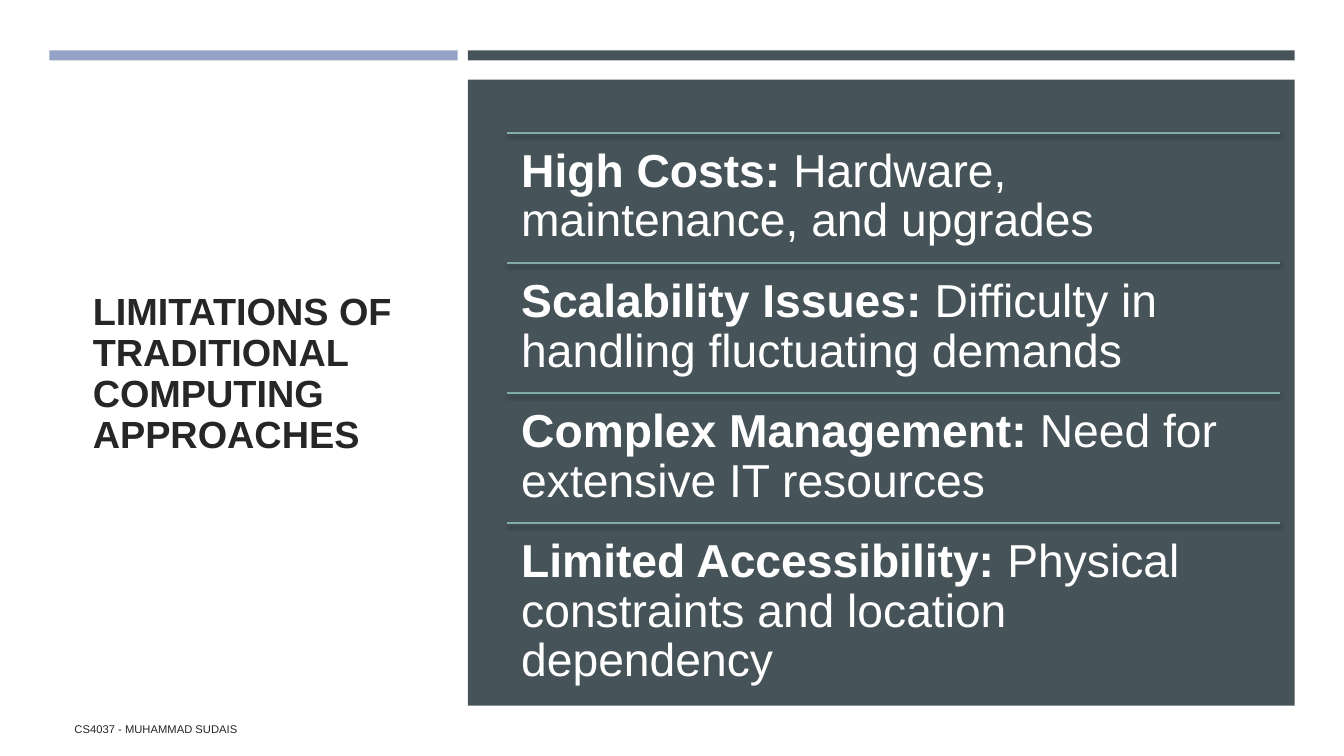
from lxml import etree
from pptx import Presentation
from pptx.dml.color import RGBColor
from pptx.enum.shapes import MSO_CONNECTOR, MSO_SHAPE
from pptx.enum.text import MSO_ANCHOR, MSO_AUTO_SIZE, PP_ALIGN
from pptx.oxml import parse_xml
from pptx.oxml.ns import nsdecls, qn
from pptx.util import Inches, Pt

RECTANGLE = MSO_SHAPE.RECTANGLE
STRAIGHT = MSO_CONNECTOR.STRAIGHT
MIDDLE = MSO_ANCHOR.MIDDLE
TOP = MSO_ANCHOR.TOP
LEFT = PP_ALIGN.LEFT
NO_AUTOFIT = MSO_AUTO_SIZE.NONE

WHITE = RGBColor(0xFF, 0xFF, 0xFF)
INK = RGBColor(0x26, 0x26, 0x26)
PERIWINKLE = RGBColor(0x94, 0xA3, 0xC5)
SLATE = RGBColor(0x46, 0x53, 0x59)
SAGE = RGBColor(0x82, 0xAC, 0xA6)

FONT = "Arial"
TITLE_ONLY = 5
LIMITATIONS = [
    ("High Costs:", " Hardware, maintenance, and upgrades"),
    ("Scalability Issues:", " Difficulty in handling fluctuating demands"),
    ("Complex Management:", " Need for extensive IT resources"),
    ("Limited Accessibility:", " Physical constraints and location dependency"),
]


def add_span(para, text, size, color, bold=False):
    span = para.add_run()
    span.text = text
    span.font.name = FONT
    span.font.size = Pt(size)
    span.font.bold = bold
    span.font.color.rgb = color


def prepare_frame(box, anchor):
    frame = box.text_frame
    frame.word_wrap = True
    frame.auto_size = NO_AUTOFIT
    frame.vertical_anchor = anchor
    para = frame.paragraphs[0]
    para.alignment = LEFT
    return frame, para


def add_block(page, left, top, width, height, color):
    block = page.shapes.add_shape(
        RECTANGLE, Inches(left), Inches(top), Inches(width), Inches(height))
    block.shadow.inherit = False
    block.fill.solid()
    block.fill.fore_color.rgb = color
    block.line.fill.background()


def add_divider(page, left, top, width):
    divider = page.shapes.add_connector(
        STRAIGHT, Inches(left), Inches(top), Inches(left + width), Inches(top))
    divider.line.color.rgb = SAGE
    divider.line.width = Pt(1)
    effects = etree.SubElement(divider._element.spPr, qn("a:effectLst"))
    effects.append(parse_xml(
        f'<a:outerShdw {nsdecls("a")} blurRad="{Pt(3)}" dist="{Pt(2)}" '
        'dir="5400000" rotWithShape="0"><a:srgbClr val="000000">'
        '<a:alpha val="55000"/></a:srgbClr></a:outerShdw>'))


def add_title(page, left, top, width, height):
    title = page.shapes.title
    title.left, title.top = Inches(left), Inches(top)
    title.width, title.height = Inches(width), Inches(height)
    _, para = prepare_frame(title, MIDDLE)
    para.line_spacing = 0.9
    add_span(para, "LIMITATIONS OF TRADITIONAL COMPUTING APPROACHES", 27, INK, True)


def add_footer(page, left, top, width, height):
    box = page.shapes.add_textbox(
        Inches(left), Inches(top), Inches(width), Inches(height))
    _, para = prepare_frame(box, MIDDLE)
    para.space_after = Pt(6)
    add_span(para, "CS4037 - MUHAMMAD SUDAIS", 8, INK)


def add_limitation(page, left, top, width, height, heading, detail):
    add_divider(page, left, top, width)
    box = page.shapes.add_textbox(
        Inches(left), Inches(top), Inches(width), Inches(height))
    frame, para = prepare_frame(box, TOP)
    frame.margin_left = frame.margin_right = Inches(0.14)
    frame.margin_top = frame.margin_bottom = Inches(0.14)
    para.line_spacing = 0.9
    add_span(para, heading, 33, WHITE, True)
    add_span(para, detail, 33, WHITE)


def add_panel(page, left, top, width, height):
    add_block(page, left, top, width, height, SLATE)
    row_height = 1.29
    for index, (heading, detail) in enumerate(LIMITATIONS):
        add_limitation(page, left + 0.39, top + 0.53 + index * row_height,
                       width - 0.53, row_height, heading, detail)


def build_slide(deck):
    page = deck.slides.add_slide(deck.slide_layouts[TITLE_ONLY])
    page.background.fill.solid()
    page.background.fill.fore_color.rgb = WHITE
    add_title(page, 0.82, 1.14, 3.34, 5.15)
    add_block(page, 0.49, 0.5, 4.05, 0.1, PERIWINKLE)
    add_block(page, 4.64, 0.5, 8.2, 0.1, SLATE)
    add_panel(page, 4.64, 0.79, 8.2, 6.21)
    add_footer(page, 0.64, 7.03, 7.56, 0.4)


def main():
    deck = Presentation()
    deck.slide_width = Inches(13.33)
    deck.slide_height = Inches(7.5)
    build_slide(deck)
    deck.save("out.pptx")


if __name__ == "__main__":
    main()
